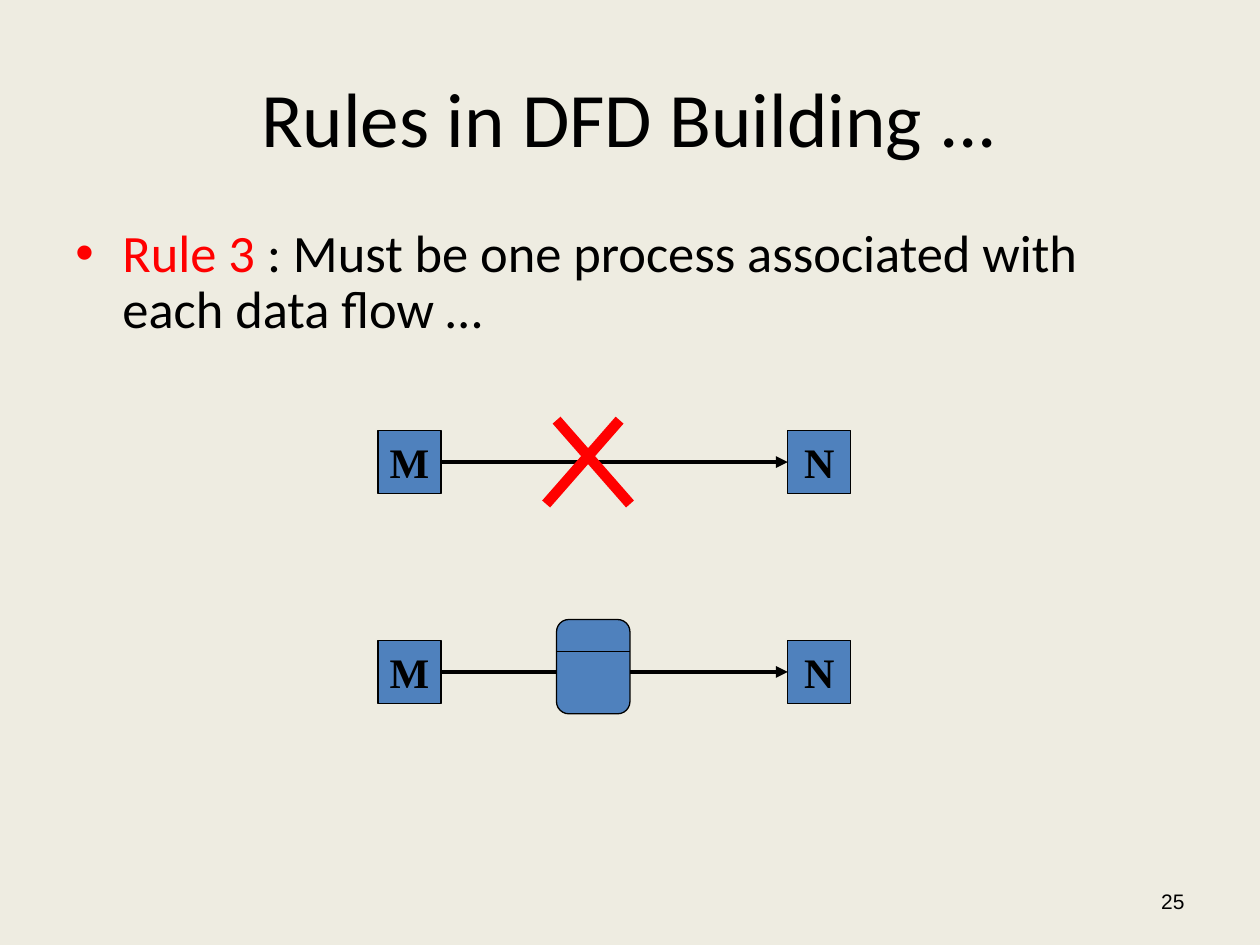
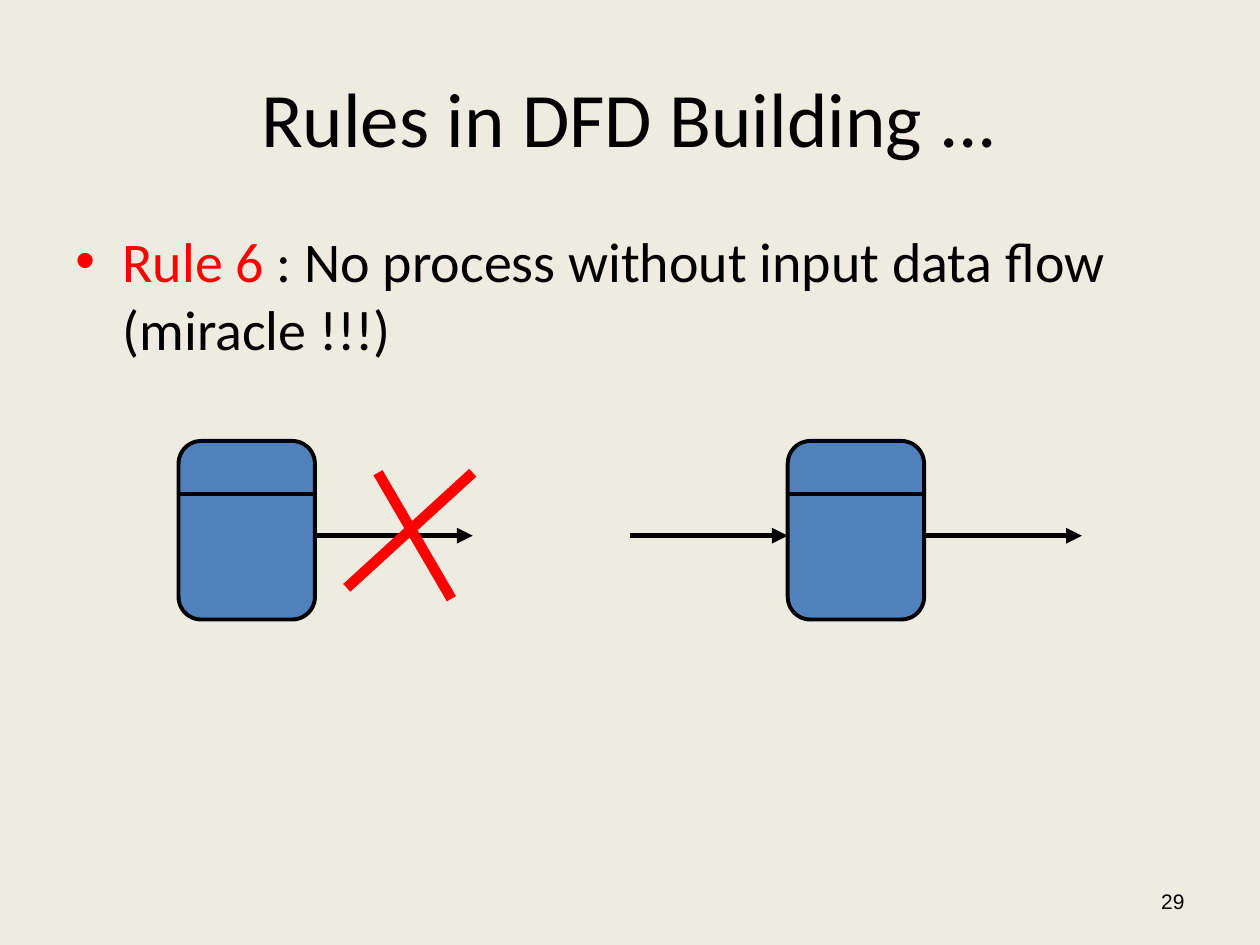
"""Builds two slides on the rules of data flow diagrams."""
from lxml import etree
from pptx import Presentation
from pptx import util as u
from pptx.dml.color import RGBColor
from pptx.enum import shapes, text
from pptx.oxml import ns

BLACK, RED, BLUE, SAND = "000000", "FF0000", "4F81BD", "EEECE1"
LEFT, CONTENT_WIDTH = 1.27, 22.86
NODE_SIZE = 1.27


def color(value):
    """Turn a hex string into a colour."""
    return RGBColor.from_string(value)


def cm(*lengths):
    """Turn numbers of centimetres into lengths."""
    return [u.Cm(length) for length in lengths]


def add_xml(parent, tag, **attributes):
    """Append a drawing element to a parent element."""
    return etree.SubElement(parent, ns.qn(tag), attributes)


def write(paragraph, content, font="Calibri", size=32, fill=BLACK, bold=False, align=None):
    """Add one formatted run to a paragraph."""
    run = paragraph.add_run()
    run.text = content
    run.font.name, run.font.size, run.font.bold = font, u.Pt(size), bold
    run.font.color.rgb = color(fill)
    if align is not None:
        paragraph.alignment = align


class RuleDeck:
    """Holds the shared style and the current slide."""

    def __init__(self):
        """Set the slide size and background."""
        self.presentation = Presentation()
        self.presentation.slide_width, self.presentation.slide_height = cm(25.4, 19.05)
        background = self.presentation.slide_master.background.fill
        background.solid()
        background.fore_color.rgb = color(SAND)
        self.slide = None

    def start(self, number):
        """Start a slide with its title and page number."""
        self.slide = self.presentation.slides.add_slide(self.presentation.slide_layouts[5])
        title = self.slide.shapes.title
        title.left, title.top, title.width, title.height = cm(LEFT, 0.76, CONTENT_WIDTH, 3.18)
        title.text_frame.vertical_anchor = text.MSO_ANCHOR.MIDDLE
        write(title.text_frame.paragraphs[0], "Rules in DFD Building ...", size=44,
              align=text.PP_ALIGN.CENTER)
        frame = self.text_box(18.21, 17.65, 5.92, 1.02)
        frame.vertical_anchor = text.MSO_ANCHOR.MIDDLE
        write(frame.paragraphs[0], str(number), font="Arial", size=12, align=text.PP_ALIGN.RIGHT)

    def text_box(self, left, top, width, height):
        """Add a wrapping text box and return its frame."""
        frame = self.slide.shapes.add_textbox(*cm(left, top, width, height)).text_frame
        frame.word_wrap = True
        return frame

    def rule(self, name, statement, height, size, line_spacing=1.0):
        """Add the bulleted rule with its name in red."""
        paragraph = self.text_box(LEFT, 4.45, CONTENT_WIDTH, height).paragraphs[0]
        paragraph.line_spacing = line_spacing
        paragraph.space_before = u.Pt(size / 4)
        properties = paragraph._p.get_or_add_pPr()
        indent = u.Cm(0.95)
        properties.set("marL", str(indent))
        properties.set("indent", str(-indent))
        add_xml(add_xml(properties, "a:buClr"), "a:srgbClr", val=RED)
        add_xml(properties, "a:buFont", typeface="Arial")
        add_xml(properties, "a:buChar", char="•")
        write(paragraph, name, size=size, fill=RED)
        write(paragraph, f" : {statement}", size=size)

    def block(self, kind, left, top, width, height, weight):
        """Add a blue outlined shape."""
        shape = self.slide.shapes.add_shape(kind, *cm(left, top, width, height))
        shape.shadow.inherit = False
        shape.fill.solid()
        shape.fill.fore_color.rgb = color(BLUE)
        shape.line.color.rgb = color(BLACK)
        shape.line.width = u.Pt(weight)
        return shape

    def node(self, label, left, top):
        """Add a square external entity with its letter."""
        shape = self.block(shapes.MSO_SHAPE.RECTANGLE, left, top, NODE_SIZE, NODE_SIZE, 0.75)
        frame = shape.text_frame
        frame.word_wrap = False
        frame.vertical_anchor = text.MSO_ANCHOR.MIDDLE
        write(frame.paragraphs[0], label, font="Times New Roman", size=24, bold=True,
              align=text.PP_ALIGN.CENTER)
        return shape

    def line(self, start, end, weight, fill=BLACK, arrow=False, joined=()):
        """Add a straight line, with an arrowhead or joined shapes if asked."""
        connector = self.slide.shapes.add_connector(
            shapes.MSO_CONNECTOR.STRAIGHT, *cm(*start, *end))
        connector.line.width = u.Pt(weight)
        connector.line.color.rgb = color(fill)
        if arrow:
            add_xml(connector.line._get_or_add_ln(), "a:tailEnd", type="triangle")
        add_xml(connector._element.spPr, "a:effectLst")
        if joined:
            source, target = joined
            connector.begin_connect(source, 3)
            connector.end_connect(target, 1)

    def flow(self, top):
        """Add entities M and N with a data flow between them."""
        left, right = 7.62, 15.88
        middle = top + NODE_SIZE / 2
        source, target = self.node("M", left, top), self.node("N", right, top)
        self.line((left + NODE_SIZE, middle), (right, middle), 2.25, arrow=True,
                  joined=(source, target))

    def process(self, left, top, width, height, header, weight):
        """Add a rounded process with a header line."""
        self.block(shapes.MSO_SHAPE.ROUNDED_RECTANGLE, left, top, width, height, weight)
        self.line((left, top + header), (left + width, top + header), weight)

    def cross(self, *strokes):
        """Cross out a flow with red strokes."""
        for start, end in strokes:
            self.line(start, end, 6, fill=RED)


def build_rule_three(deck):
    """Show that a flow needs a process."""
    deck.start(25)
    deck.rule("Rule 3", "Must be one process associated with each data flow …",
              height=2.59, size=30, line_spacing=0.9)
    deck.flow(8.68)
    deck.cross(((12.49, 8.47), (11.01, 10.16)), ((11.22, 8.47), (12.7, 10.16)))
    deck.flow(12.91)
    deck.process(11.22, 12.49, 1.48, 1.9, header=0.64, weight=0.75)


def build_rule_six(deck):
    """Show that a process needs an input flow."""
    deck.start(29)
    deck.rule("Rule 6", "No process without input data flow (miracle !!!)",
              height=3.2, size=32)
    width, arrow_length, arrow_top = 2.75, 3.18, 10.8
    wrong_left, right_left = 3.6, 15.88
    for left in (wrong_left, right_left):
        deck.process(left, 8.89, width, 3.6, header=1.06, weight=2.25)
    for start in (wrong_left + width, right_left - arrow_length, right_left + width):
        deck.line((start, arrow_top), (start + arrow_length, arrow_top), 3, arrow=True)
    deck.cross(((7.62, 9.53), (9.1, 12.07)), ((9.53, 9.53), (6.99, 11.85)))


def main():
    """Build and save the presentation."""
    deck = RuleDeck()
    build_rule_three(deck)
    build_rule_six(deck)
    deck.presentation.save("out.pptx")


if __name__ == "__main__":
    main()
